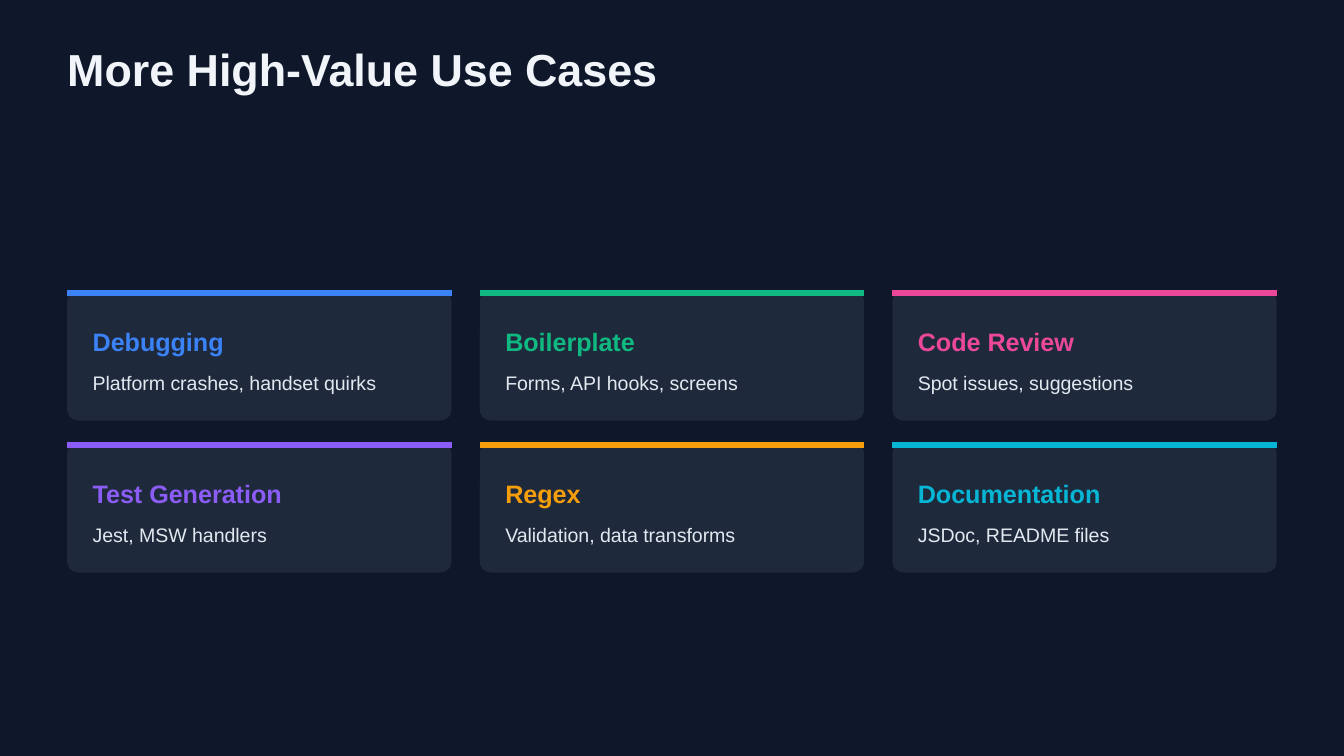
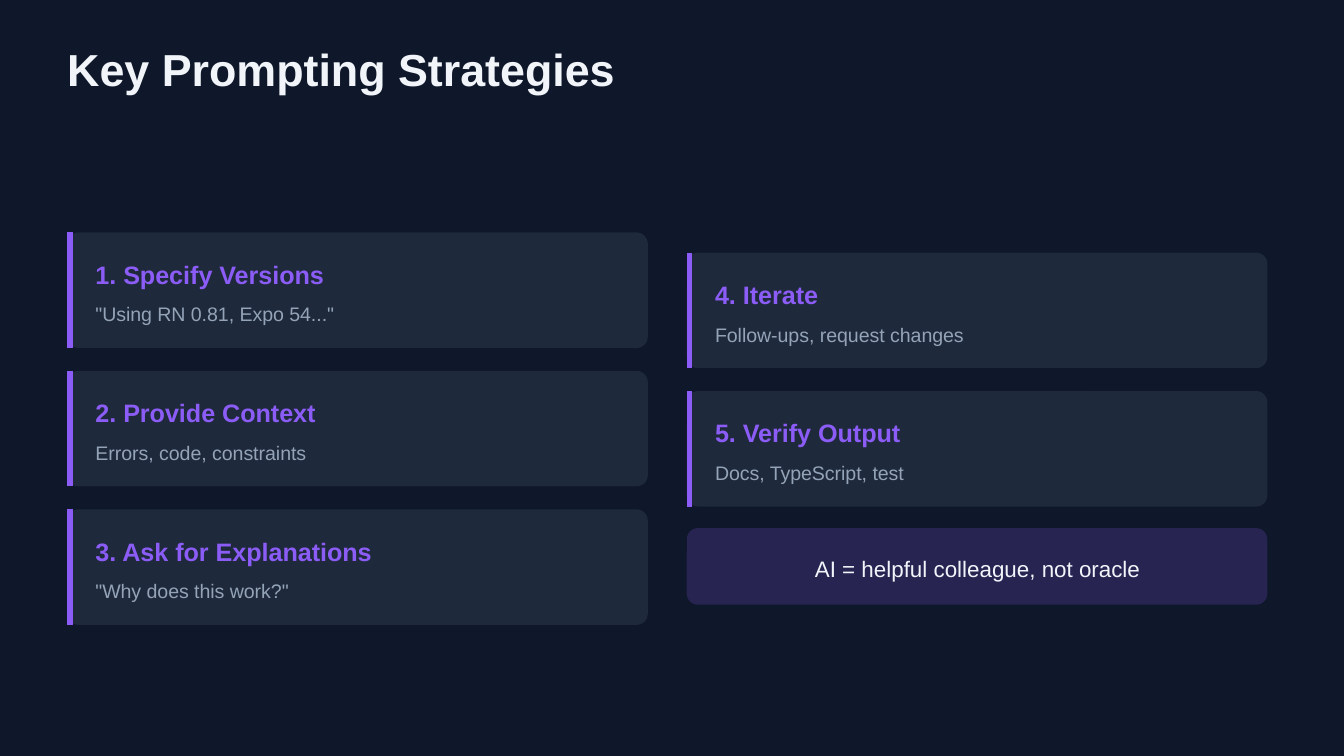
from dataclasses import dataclass

from lxml.etree import SubElement
from pptx import Presentation
from pptx.dml.color import RGBColor
from pptx.enum.shapes import MSO_CONNECTOR, MSO_SHAPE
from pptx.enum.text import MSO_ANCHOR, MSO_AUTO_SIZE, PP_ALIGN
from pptx.oxml.ns import qn
from pptx.util import Inches, Pt


@dataclass(frozen=True)
class Theme:
    font: str = "Arial"
    back: str = "0F172A"
    card: str = "1E293B"
    white: str = "F1F5F9"
    light: str = "E2E8F0"
    muted: str = "94A3B8"
    blue: str = "3B82F6"
    green: str = "10B981"
    pink: str = "EC4899"
    purple: str = "8B5CF6"
    amber: str = "F59E0B"
    cyan: str = "06B6D4"
    title: float = 24
    head: float = 13.5
    body: float = 10.5
    quote: float = 12
    bar: float = 3
    radius: float = 1 / 12


THEME = Theme()


def write(frame, text, size, color, bold=False, align=PP_ALIGN.LEFT,
          lead=1.4, before=0, after=0):
    """Fill a text frame; lead is the line height as a multiple of size."""
    frame.margin_left = frame.margin_right = 0
    frame.margin_top = frame.margin_bottom = 0
    frame.word_wrap = True
    frame.auto_size = MSO_AUTO_SIZE.NONE
    frame.vertical_anchor = MSO_ANCHOR.TOP
    para = frame.paragraphs[0]
    para.alignment = align
    para.line_spacing = Pt(size * lead)
    para.space_before, para.space_after = Pt(before), Pt(after)
    run = para.add_run()
    run.text = text
    run.font.name = THEME.font
    run.font.size = Pt(size)
    run.font.bold = bold
    run.font.color.rgb = RGBColor.from_string(color)


class Deck:
    def __init__(self, theme):
        self.theme = theme
        self.show = Presentation()
        self.show.slide_width = Inches(10)
        self.show.slide_height = Inches(10 * 9 / 16)
        self.slide = None

    def page(self, title, after):
        self.slide = self.show.slides.add_slide(self.show.slide_layouts[5])
        fill = self.slide.background.fill
        fill.solid()
        fill.fore_color.rgb = RGBColor.from_string(self.theme.back)
        head = self.slide.shapes.title
        head.left, head.top = Inches(0.5), Inches(0.38)
        head.width, head.height = Inches(4.6), Inches(0.33)
        write(head.text_frame, title, self.theme.title, self.theme.white,
              bold=True, lead=1, after=after)

    def text(self, text, x, y, w, h, **style):
        box = self.slide.shapes.add_textbox(
            Inches(x), Inches(y), Inches(w), Inches(h))
        write(box.text_frame, text, **style)

    def panel(self, x, y, w, h, color, alpha=None):
        shape = self.slide.shapes.add_shape(
            MSO_SHAPE.ROUNDED_RECTANGLE,
            Inches(x), Inches(y), Inches(w), Inches(h))
        shape.adjustments[0] = self.theme.radius / h
        shape.shadow.inherit = False
        shape.line.fill.background()
        shape.fill.solid()
        shape.fill.fore_color.rgb = RGBColor.from_string(color)
        if alpha is not None:
            tint = shape._element.spPr.find(".//" + qn("a:srgbClr"))
            SubElement(tint, qn("a:alpha"), val=str(alpha * 1000))

    def bar(self, x1, y1, x2, y2, color):
        line = self.slide.shapes.add_connector(
            MSO_CONNECTOR.STRAIGHT,
            Inches(x1), Inches(y1), Inches(x2), Inches(y2))
        line.line.width = Pt(self.theme.bar)
        line.line.color.rgb = RGBColor.from_string(color)
        SubElement(line._element.spPr, qn("a:effectLst"))

    def labels(self, head, note, x, y, w, drop, color, ink, before):
        """Set a heading with its note lying drop inches below."""
        theme = self.theme
        self.text(head, x, y, w, 0.26, size=theme.head, color=color, bold=True)
        self.text(note, x, y + drop, w, 0.2, size=theme.body, color=ink,
                  before=before)

    def tile(self, x, y, head, note, color):
        """Draw a card with a bar along its top."""
        w = 2.86
        self.panel(x, y, w, 0.97, self.theme.card)
        self.bar(x, y + 0.02, x + w, y + 0.02, color)
        self.labels(head, note, x + 0.19, y + 0.23, 2.54, 0.34, color,
                    self.theme.light, before=6)

    def step(self, x, y, head, note):
        """Draw a card with a bar down its left side."""
        h, color = 0.86, self.theme.purple
        self.panel(x, y, 4.32, h, self.theme.card)
        self.bar(x + 0.02, y, x + 0.02, y + h, color)
        self.labels(head, note, x + 0.21, y + 0.16, 4.02, 0.33, color,
                    self.theme.muted, before=4.5)

    def quote(self, x, y, text):
        self.panel(x, y, 4.32, 0.57, self.theme.purple, alpha=20)
        self.text(text, x + 0.13, y + 0.17, 4.07, 0.23, size=self.theme.quote,
                  color=self.theme.white, align=PP_ALIGN.CENTER)


def cases(deck):
    theme = deck.theme
    tiles = [
        ("Debugging", "Platform crashes, handset quirks", theme.blue),
        ("Boilerplate", "Forms, API hooks, screens", theme.green),
        ("Code Review", "Spot issues, suggestions", theme.pink),
        ("Test Generation", "Jest, MSW handlers", theme.purple),
        ("Regex", "Validation, data transforms", theme.amber),
        ("Documentation", "JSDoc, README files", theme.cyan),
    ]
    deck.page("More High-Value Use Cases", after=21)
    for i, tile in enumerate(tiles):
        row, col = divmod(i, 3)
        deck.tile(0.5 + col * 3.07, 2.16 + row * 1.13, *tile)


def tips(deck):
    left, right, pitch = (0.5, 1.73), (5.11, 1.88), 1.03
    groups = [
        (left, [
            ("1. Specify Versions", '"Using RN 0.81, Expo 54..."'),
            ("2. Provide Context", "Errors, code, constraints"),
            ("3. Ask for Explanations", '"Why does this work?"'),
        ]),
        (right, [
            ("4. Iterate", "Follow-ups, request changes"),
            ("5. Verify Output", "Docs, TypeScript, test"),
        ]),
    ]
    deck.page("Key Prompting Strategies", after=18)
    for (x, top), steps in groups:
        for i, step in enumerate(steps):
            deck.step(x, top + i * pitch, *step)
    deck.quote(right[0], 3.93, "AI = helpful colleague, not oracle")


def main():
    deck = Deck(THEME)
    cases(deck)
    tips(deck)
    deck.show.save("out.pptx")


if __name__ == "__main__":
    main()
